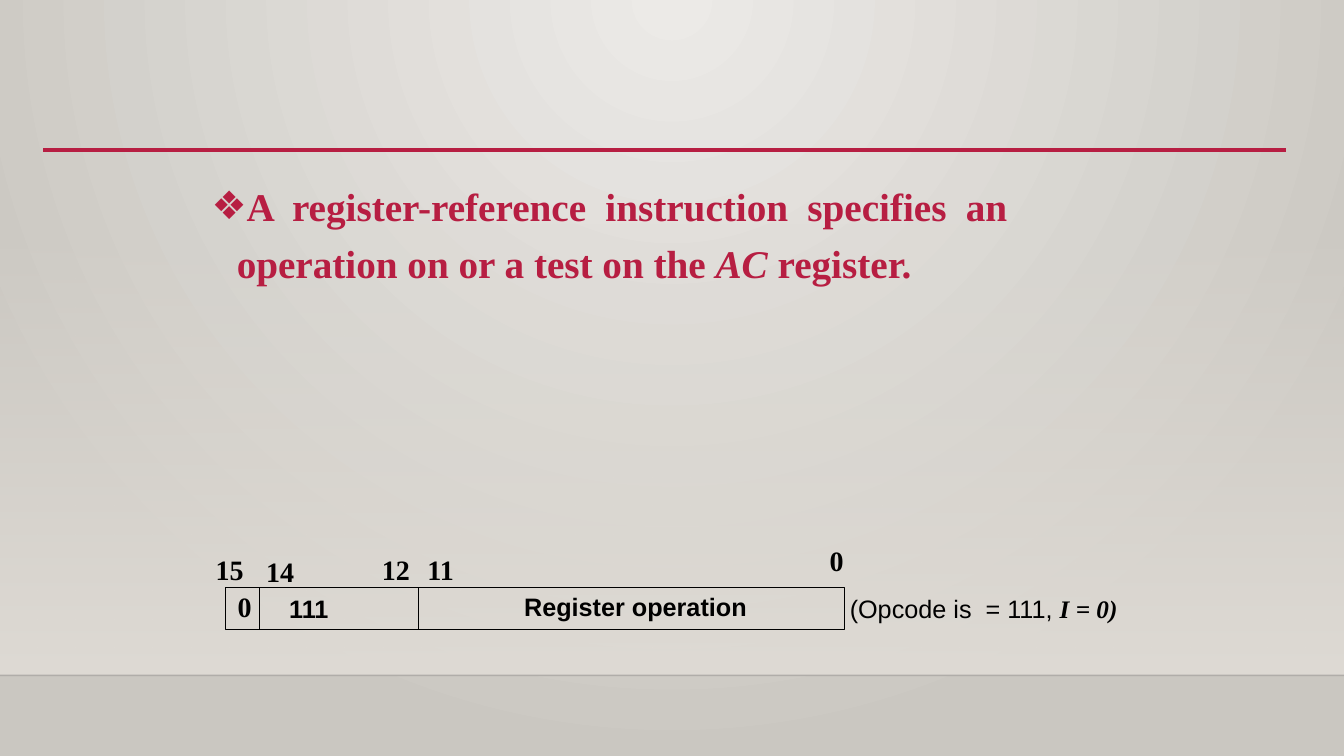
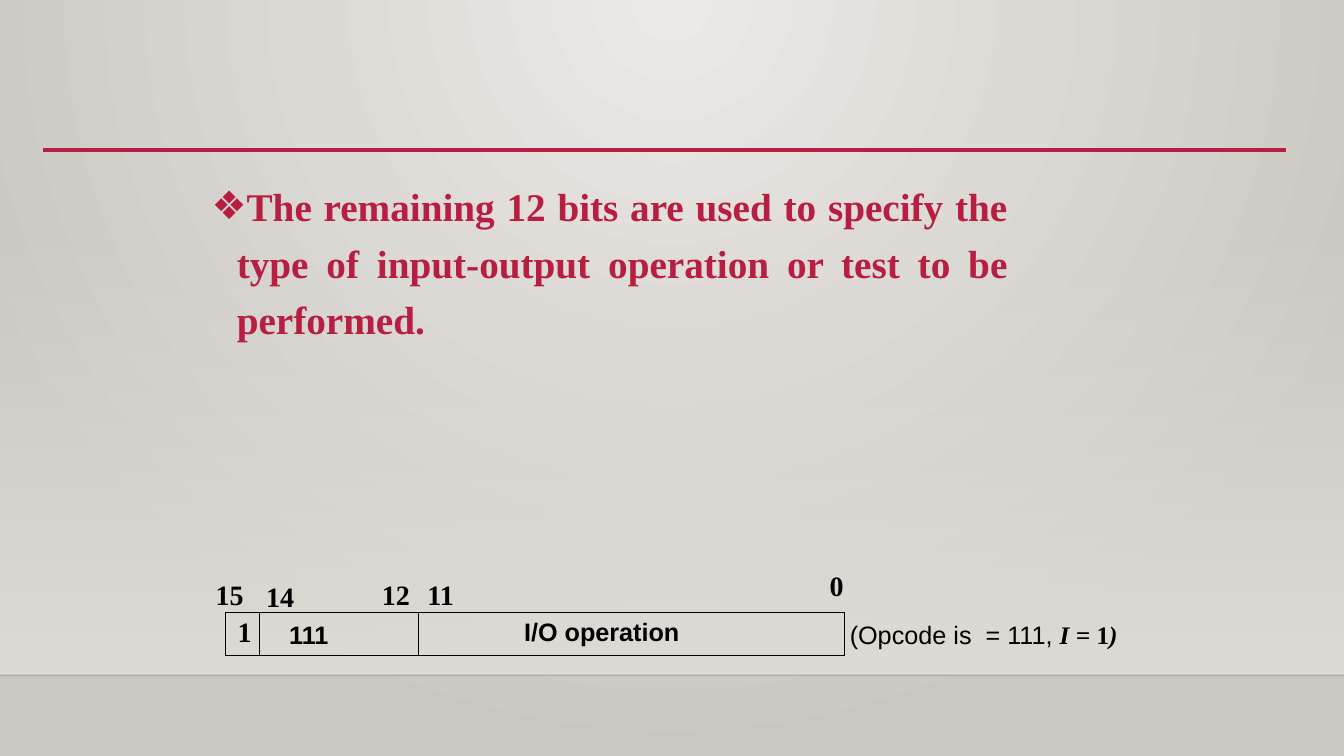
"""Build two slides on the register-reference and input-output instruction formats."""
from lxml import etree
from pptx import Presentation
from pptx.dml.color import RGBColor
from pptx.enum import shapes, text
from pptx.oxml import parse_xml
from pptx.oxml.ns import nsdecls, qn
from pptx.util import Inches, Pt

CRIMSON, BLACK, HAIRLINE = "B71E42", "000000", "000001"
SERIF, SANS = "Times New Roman", "Arial"

BACKDROP = f"""<a:gradFill {nsdecls('a')} rotWithShape="1"><a:gsLst>
<a:gs pos="0"><a:srgbClr val="ECEAE7"/></a:gs>
<a:gs pos="100000"><a:srgbClr val="CAC7C1"/></a:gs></a:gsLst>
<a:path path="circle"><a:fillToRect l="43000" t="0" r="43000" b="100000"/></a:path></a:gradFill>"""
FLOOR_FADE = f"""<a:gradFill {nsdecls('a')} rotWithShape="1"><a:gsLst>
<a:gs pos="0"><a:srgbClr val="DFDBD5"><a:alpha val="0"/></a:srgbClr></a:gs>
<a:gs pos="100000"><a:srgbClr val="DFDBD5"/></a:gs></a:gsLst>
<a:lin ang="5400000" scaled="0"/></a:gradFill>"""

WORD_LEFT, WORD_WIDTH, WORD_HEIGHT = 2.24, 6.14, 0.42
FIELD_EDGES = [2.57, 4.15]
BIT_NUMBERS = [("15", 2.04, -0.4, 0.48), ("14", 2.54, -0.38, 0.48), ("12", 3.69, -0.4, 0.48),
               ("11", 4.14, -0.4, 0.48), ("0", 8.13, -0.49, 0.34)]

instructions = [
    dict(statement=[("A register-reference instruction specifies an operation on or a test on the ", SERIF, "b"),
                    ("AC ", SERIF, "bi"), ("register.", SERIF, "b")],
         word_top=5.83, mode_bit="0", operation="Register operation", operation_width=2.41,
         condition=[("I = 0)", SERIF, "bi")]),
    dict(statement=[("The remaining 12 bits are used to specify the type of input-output operation "
                     "or test to be performed.", SERIF, "b")],
         word_top=6.08, mode_bit="1", operation="I/O operation", operation_width=1.74,
         condition=[("I = ", SERIF, "bi"), ("1", SERIF, "b"), (")", SERIF, "bi")]),
]


def write_runs(paragraph, runs, size, color):
    for words, face, style in runs:
        run = paragraph.add_run()
        run.text = words
        run.font.name = face
        run.font.size = Pt(size)
        run.font.bold = "b" in style
        run.font.italic = "i" in style
        run.font.color.rgb = RGBColor.from_string(color)


def add_rule(parent, x1, y1, x2, y2, color, weight):
    rule = parent.add_connector(shapes.MSO_CONNECTOR.STRAIGHT,
                                Inches(x1), Inches(y1), Inches(x2), Inches(y2))
    rule.line.color.rgb = RGBColor.from_string(color)
    rule.line.width = Pt(weight)
    etree.SubElement(rule.element.spPr, qn("a:effectLst"))
    return rule


deck = Presentation()
deck.slide_width, deck.slide_height = Inches(13.33), Inches(7.5)

for instruction in instructions:
    slide = deck.slides.add_slide(deck.slide_layouts[6])
    floor = slide.shapes.add_shape(shapes.MSO_SHAPE.RECTANGLE,
                                   Inches(0), Inches(2.21), Inches(13.33), Inches(4.49))
    floor.shadow.inherit = False
    for surface, fill, gradient in [(slide.element, slide.background.fill, BACKDROP),
                                    (floor.element, floor.fill, FLOOR_FADE)]:
        fill.background()
        no_fill = surface.find(".//" + qn("a:noFill"))
        no_fill.getparent().replace(no_fill, parse_xml(gradient))
    floor.line.fill.background()

    floor_edge = add_rule(slide.shapes, 0, 6.7, 13.33, 6.7, HAIRLINE, 1)
    edge_color = floor_edge.element.find(".//" + qn("a:srgbClr"))
    etree.SubElement(edge_color, qn("a:alpha"), val="20000")
    add_rule(slide.shapes, 0.43, 1.49, 12.75, 1.49, CRIMSON, 2.5)

    statement = slide.shapes.add_textbox(Inches(2), Inches(1.67), Inches(8.09), Inches(5))
    statement.text_frame.word_wrap = True
    paragraph = statement.text_frame.paragraphs[0]
    paragraph.alignment = text.PP_ALIGN.JUSTIFY
    paragraph.line_spacing = 1.2
    properties = paragraph._p.get_or_add_pPr()
    properties.set("marL", str(Inches(0.25)))
    properties.set("indent", str(-Inches(0.25)))
    bullet_color = etree.SubElement(properties, qn("a:buClr"))
    etree.SubElement(bullet_color, qn("a:srgbClr"), val=CRIMSON)
    etree.SubElement(properties, qn("a:buFont"), typeface=SANS)
    etree.SubElement(properties, qn("a:buChar"), char="❖")
    write_runs(paragraph, instruction["statement"], 28, CRIMSON)

    top = instruction["word_top"]
    word = slide.shapes.add_group_shape().shapes
    frame = word.add_shape(shapes.MSO_SHAPE.RECTANGLE, Inches(WORD_LEFT), Inches(top),
                           Inches(WORD_WIDTH), Inches(WORD_HEIGHT))
    frame.shadow.inherit = False
    frame.fill.background()
    frame.line.color.rgb = RGBColor.from_string(BLACK)
    frame.line.width = Pt(0.75)
    for edge in FIELD_EDGES:
        add_rule(word, edge, top, edge, top + WORD_HEIGHT, BLACK, 0.75)

    labels = [([(number, SERIF, "b")], left, rise, width, 0.43, 20)
              for number, left, rise, width in BIT_NUMBERS]
    labels += [
        ([(instruction["mode_bit"], SERIF, "b")], 2.26, -0.03, 0.34, 0.43, 20),
        ([("111", SANS, "b")], 2.77, 0.01, 0.62, 0.4, 18),
        ([(instruction["operation"], SANS, "b")], 5.1, -0.01, instruction["operation_width"], 0.4, 18),
        ([("(Opcode is  = 111, ", SANS, "")] + instruction["condition"], 8.33, 0.01, 2.89, 0.4, 18),
    ]
    for runs, left, rise, width, height, size in labels:
        label = word.add_textbox(Inches(left), Inches(top + rise), Inches(width), Inches(height))
        label.text_frame.word_wrap = False
        label.text_frame.auto_size = text.MSO_AUTO_SIZE.SHAPE_TO_FIT_TEXT
        write_runs(label.text_frame.paragraphs[0], runs, size, BLACK)

deck.save("out.pptx")
